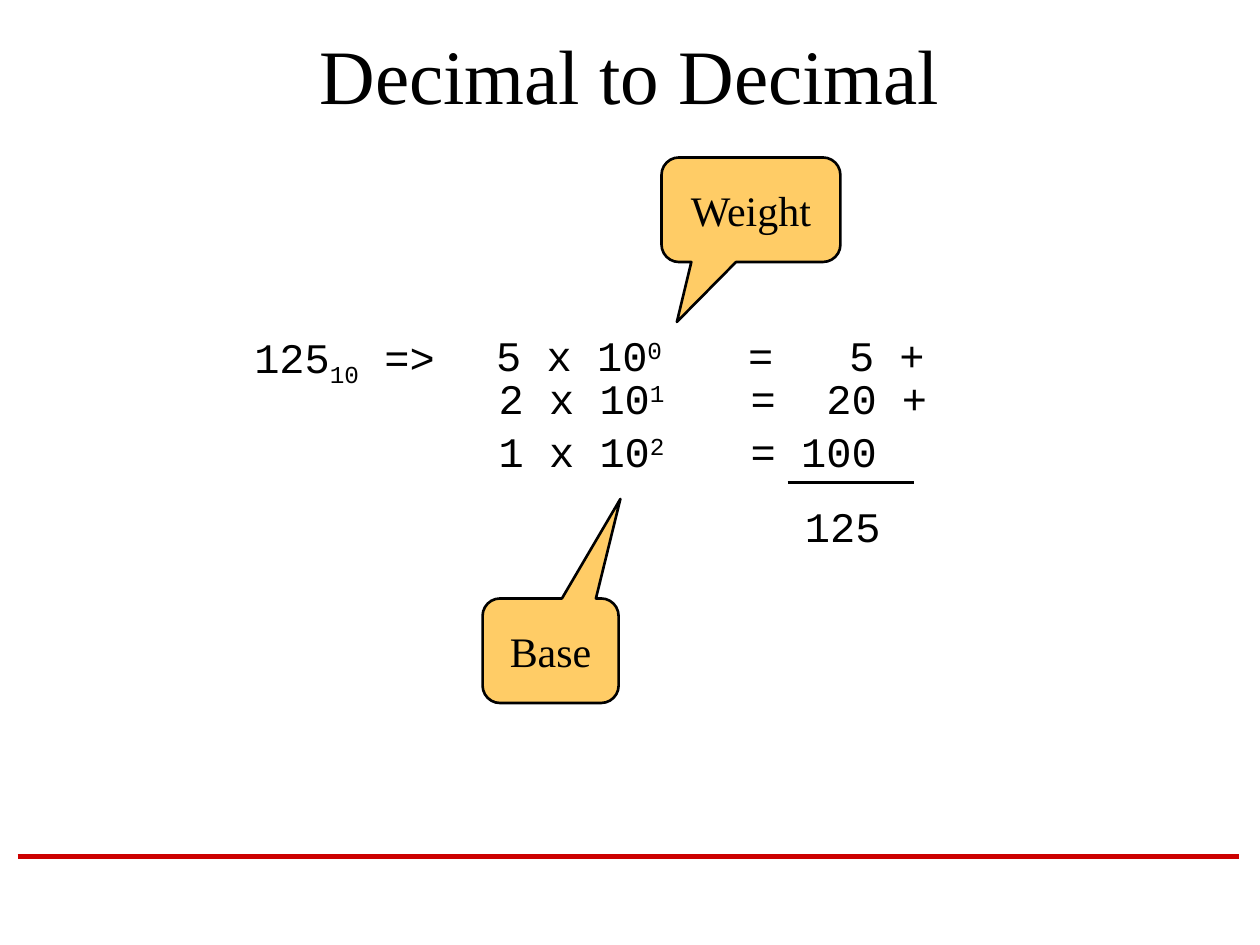
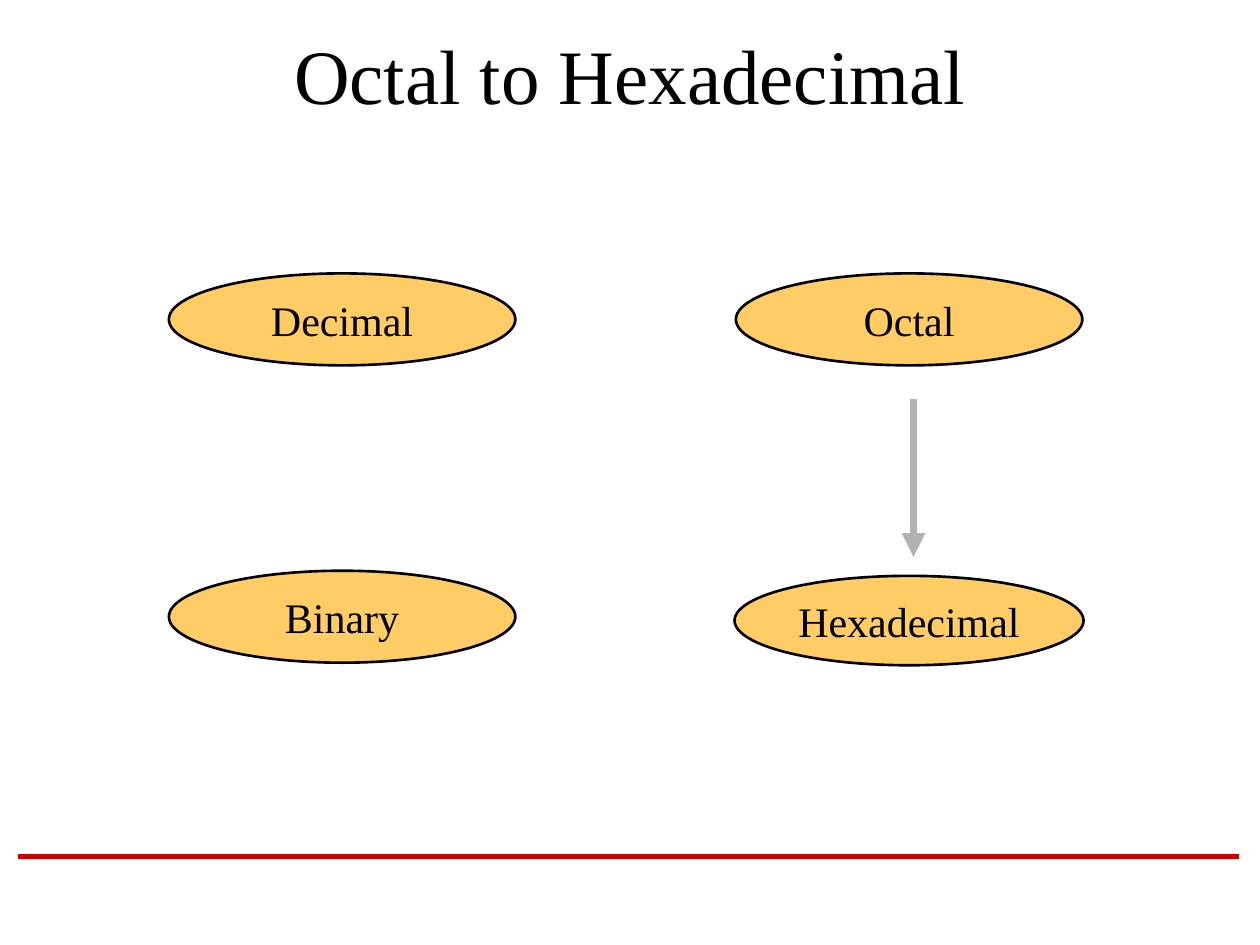
from dataclasses import dataclass

from lxml import etree
from pptx import Presentation
from pptx.dml.color import RGBColor
from pptx.enum import shapes, text
from pptx.oxml import ns
from pptx.util import Inches, Pt

BLACK = RGBColor(0x00, 0x00, 0x00)
RED = RGBColor(0xCC, 0x00, 0x00)
GOLD = RGBColor(0xFF, 0xCC, 0x66)
GRAY = RGBColor(0xB2, 0xB2, 0xB2)
SERIF = "Times New Roman"
MONO = "Courier New"
CALLOUT = shapes.MSO_SHAPE.ROUNDED_RECTANGULAR_CALLOUT
OVAL = shapes.MSO_SHAPE.OVAL
STOPS = ((2, "l"), (3, "r"), (3.2, "l"))


@dataclass
class Node:
    label: str
    left: float
    top: float
    width: float
    height: float
    kind: int = OVAL
    adjust: tuple = ()


@dataclass
class Term:
    left: float
    top: float
    width: float
    runs: tuple
    stops: tuple = ()


@dataclass
class Rule:
    start: tuple
    end: tuple
    color: RGBColor
    weight: float
    arrow: bool = False


CALLS = (
    Node("Base", 3.83, 4.75, 1.08, 0.83, CALLOUT, (0.513, -1.452, 0.167)),
    Node("Weight", 5.25, 1.25, 1.42, 0.83, CALLOUT, (-0.414, 1.073, 0.167)),
)
TERMS = (
    Term(1.92, 2.58, 2, (("125", 0), ("10", -25), (" =>", 0))),
    Term(3.84, 2.57, 5, (("5 x 10", 0), ("0", 30), ("\t=\t5\t+", 0)), STOPS),
    Term(3.86, 2.91, 5, (("2 x 10", 0), ("1", 30), ("\t=\t20\t+", 0)), STOPS),
    Term(3.86, 3.33, 5, (("1 x 10", 0), ("2", 30), ("\t=\t100", 0)), STOPS),
    Term(6.29, 3.92, 1, (("125", 0),)),
)
BASES = (
    Node("Hexadecimal", 5.83, 4.57, 2.77, 0.71),
    Node("Decimal", 1.34, 2.17, 2.75, 0.73),
    Node("Octal", 5.84, 2.17, 2.75, 0.73),
    Node("Binary", 1.34, 4.53, 2.75, 0.73),
)
FOOT = Rule((0.14, 6.8), (9.83, 6.8), RED, 3)
SUM = Rule((6.25, 3.83), (7.25, 3.83), BLACK, 1.5)
ARROW = Rule((7.25, 3.17), (7.25, 4.42), GRAY, 4.5, True)


def style(para, size: int, face: str) -> None:
    para.font.size = Pt(size)
    para.font.name = face
    para.font.color.rgb = BLACK


def center(frame, label: str, size: int) -> None:
    frame.vertical_anchor = text.MSO_ANCHOR.MIDDLE
    para = frame.paragraphs[0]
    para.alignment = text.PP_ALIGN.CENTER
    para.add_run().text = label
    style(para, size, SERIF)


def draw_rule(slide, rule: Rule) -> None:
    ends = [Inches(n) for n in rule.start + rule.end]
    line = slide.shapes.add_connector(shapes.MSO_CONNECTOR.STRAIGHT, *ends)
    line.line.color.rgb = rule.color
    line.line.width = Pt(rule.weight)
    if rule.arrow:
        tail = etree.SubElement(line.line._get_or_add_ln(), ns.qn("a:tailEnd"))
        tail.set("type", "triangle")
    etree.SubElement(line._element.spPr, ns.qn("a:effectLst"))


def draw_node(slide, node: Node) -> None:
    area = [Inches(n) for n in (node.left, node.top, node.width, node.height)]
    shape = slide.shapes.add_shape(node.kind, *area)
    shape.shadow.inherit = False
    shape.fill.solid()
    shape.fill.fore_color.rgb = GOLD
    shape.line.color.rgb = BLACK
    shape.line.width = Pt(1.5)
    for spot, value in enumerate(node.adjust):
        shape.adjustments[spot] = value
    shape.text_frame.word_wrap = node.kind == CALLOUT
    center(shape.text_frame, node.label, 24)


def draw_term(slide, term: Term) -> None:
    area = [Inches(n) for n in (term.left, term.top, term.width, 0.5)]
    frame = slide.shapes.add_textbox(*area).text_frame
    frame.word_wrap = True
    para = frame.paragraphs[0]
    if term.stops:
        tabs = etree.SubElement(para._p.get_or_add_pPr(), ns.qn("a:tabLst"))
        for place, side in term.stops:
            tab = etree.SubElement(tabs, ns.qn("a:tab"))
            tab.set("pos", str(Inches(place)))
            tab.set("algn", side)
    for words, shift in term.runs:
        run = para.add_run()
        run.text = words
        if shift:
            run._r.get_or_add_rPr().set("baseline", str(shift * 1000))
    style(para, 24, MONO)


def add_slide(deck, title: str):
    slide = deck.slides.add_slide(deck.slide_layouts[6])
    draw_rule(slide, FOOT)
    area = [Inches(n) for n in (0.75, 0.17, 8.5, 0.83)]
    frame = slide.shapes.add_textbox(*area).text_frame
    frame.word_wrap = True
    center(frame, title, 44)
    return slide


def main() -> None:
    deck = Presentation()
    deck.slide_width, deck.slide_height = Inches(10), Inches(7.5)

    slide = add_slide(deck, "Decimal to Decimal")
    draw_rule(slide, SUM)
    for call in CALLS:
        draw_node(slide, call)
    for term in TERMS:
        draw_term(slide, term)

    slide = add_slide(deck, "Octal to Hexadecimal")
    for base in BASES:
        draw_node(slide, base)
    draw_rule(slide, ARROW)

    deck.save("out.pptx")


if __name__ == "__main__":
    main()
